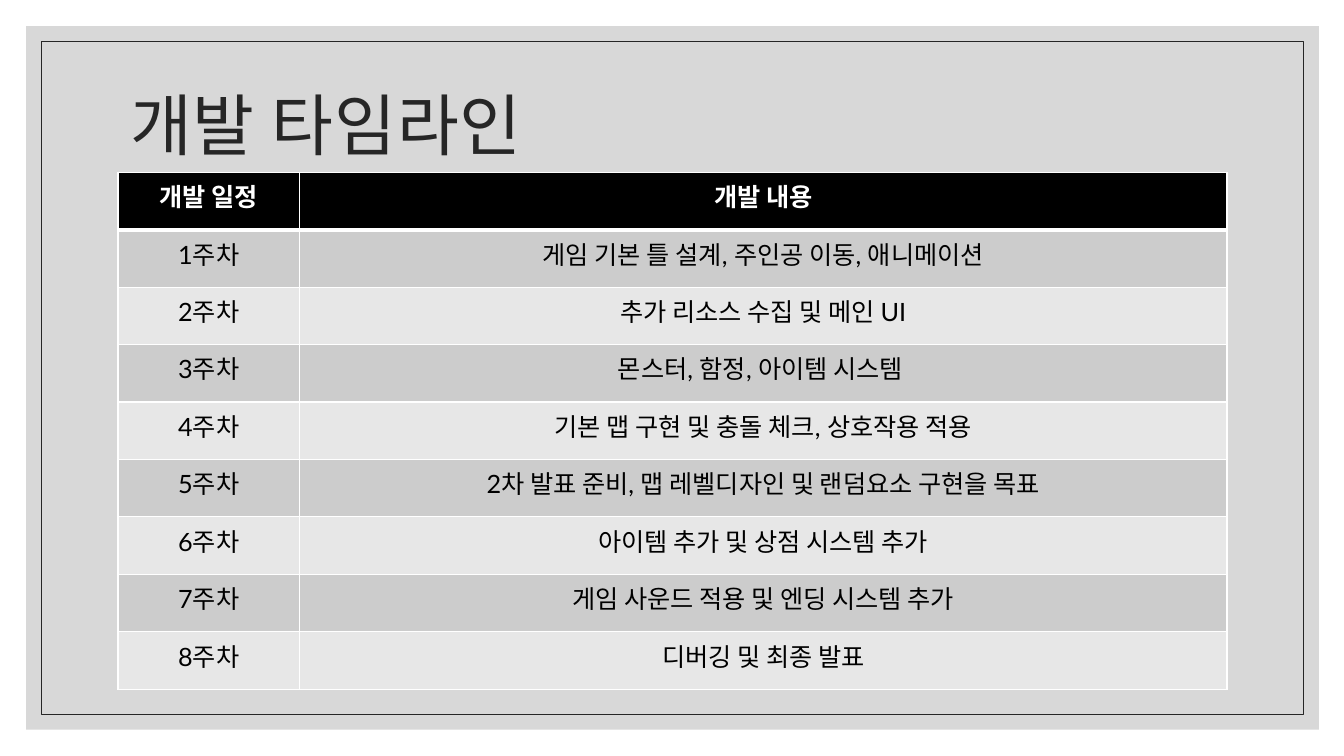
import pptx
import pptx.dml.color
import pptx.enum.shapes
import pptx.enum.text
import pptx.oxml
import pptx.oxml.ns
import pptx.util
from dataclasses import dataclass

Inches = pptx.util.Inches
Pt = pptx.util.Pt
ALIGN = pptx.enum.text.PP_ALIGN
ANCHOR = pptx.enum.text.MSO_ANCHOR


@dataclass(frozen=True)
class Theme:
    font: str = "Lato"
    panel: str = "BFBFBF"
    panel_opacity: int = 60
    ink: str = "262626"
    header: str = "000000"
    header_text: str = "FFFFFF"
    body_text: str = "000000"
    bands: tuple = ("CCCCCC", "E7E7E7")
    border: str = "FFFFFF"
    title_size: int = 48
    table_size: int = 18


SCHEDULE = [
    ("개발 일정", "개발 내용"),
    ("1주차", "게임 기본 틀 설계, 주인공 이동, 애니메이션"),
    ("2주차", "추가 리소스 수집 및 메인 UI"),
    ("3주차", "몬스터, 함정, 아이템 시스템 "),
    ("4주차", "기본 맵 구현 및 충돌 체크, 상호작용 적용"),
    ("5주차", "2차 발표 준비, 맵 레벨디자인 및 랜덤요소 구현을 목표"),
    ("6주차", "아이템 추가 및 상점 시스템 추가"),
    ("7주차", "게임 사운드 적용 및 엔딩 시스템 추가"),
    ("8주차", "디버깅 및 최종 발표"),
]


def rgb(color):
    return pptx.dml.color.RGBColor.from_string(color)


class SlideBuilder:
    def __init__(self, slide, theme):
        self.slide = slide
        self.theme = theme

    def add_run(self, paragraph, text, size, color, bold=False):
        run = paragraph.add_run()
        run.text = text
        run.font.name = self.theme.font
        run.font.size = Pt(size)
        run.font.bold = bold
        run.font.color.rgb = rgb(color)
        return run

    def rectangle(self, left, top, width, height):
        shape = self.slide.shapes.add_shape(
            pptx.enum.shapes.MSO_SHAPE.RECTANGLE,
            Inches(left), Inches(top), Inches(width), Inches(height))
        shape.shadow.inherit = False
        return shape

    def panel(self, *box):
        shape = self.rectangle(*box)
        shape.line.fill.background()
        shape.fill.solid()
        shape.fill.fore_color.rgb = rgb(self.theme.panel)
        color = shape._element.spPr.find(".//" + pptx.oxml.ns.qn("a:srgbClr"))
        alpha = color.makeelement(pptx.oxml.ns.qn("a:alpha"),
                                  {"val": str(self.theme.panel_opacity * 1000)})
        color.append(alpha)

    def frame(self, *box):
        shape = self.rectangle(*box)
        shape.fill.background()
        shape.line.color.rgb = rgb(self.theme.ink)
        shape.line.width = Pt(0.5)

    def title(self, text, left, top, width, height):
        """Fill the title placeholder and bring it in front of the backdrop."""
        title = self.slide.shapes.title
        self.slide.shapes._spTree.append(title._element)
        title.left, title.top = Inches(left), Inches(top)
        title.width, title.height = Inches(width), Inches(height)
        frame = title.text_frame
        frame.word_wrap = True
        frame.auto_size = pptx.enum.text.MSO_AUTO_SIZE.NONE
        frame.vertical_anchor = ANCHOR.MIDDLE
        frame.margin_left = frame.margin_top = frame.margin_right = Inches(0.12)
        frame.margin_bottom = Inches(0.1)
        paragraph = frame.paragraphs[0]
        paragraph.alignment = ALIGN.LEFT
        paragraph.line_spacing = 1.05
        run = self.add_run(paragraph, text, self.theme.title_size, self.theme.ink)
        run.font._element.set("spc", "70")

    def cell_borders(self, cell, widths):
        properties = cell._tc.get_or_add_tcPr()
        for index, (side, width) in enumerate(widths.items()):
            properties.insert(index, pptx.oxml.parse_xml(
                f'<a:ln{side} {pptx.oxml.ns.nsdecls("a")} w="{Pt(width)}">'
                f'<a:solidFill><a:srgbClr val="{self.theme.border}"/></a:solidFill>'
                f'</a:ln{side}>'))

    def table(self, rows, left, top, column_widths, row_height):
        theme = self.theme
        table = self.slide.shapes.add_table(
            len(rows), len(column_widths), Inches(left), Inches(top),
            Inches(sum(column_widths)), Inches(row_height * len(rows))).table
        for column, width in zip(table.columns, column_widths):
            column.width = Inches(width)
        for row_index, texts in enumerate(rows):
            table.rows[row_index].height = Inches(row_height)
            is_header = row_index == 0
            fill = theme.header if is_header else theme.bands[(row_index - 1) % 2]
            color = theme.header_text if is_header else theme.body_text
            borders = {"L": 1, "R": 1, "T": 3 if row_index == 1 else 1,
                       "B": 3 if is_header else 1}
            for column_index, text in enumerate(texts):
                cell = table.cell(row_index, column_index)
                cell.fill.solid()
                cell.fill.fore_color.rgb = rgb(fill)
                self.cell_borders(cell, borders)
                paragraph = cell.text_frame.paragraphs[0]
                paragraph.alignment = ALIGN.CENTER
                self.add_run(paragraph, text, theme.table_size, color, is_header)


def main():
    presentation = pptx.Presentation()
    presentation.slide_width = Inches(13.33)
    presentation.slide_height = Inches(7.5)
    slide = presentation.slides.add_slide(presentation.slide_layouts[5])
    builder = SlideBuilder(slide, Theme())
    builder.panel(0.26, 0.26, 12.82, 6.98)
    builder.frame(0.41, 0.41, 12.52, 6.68)
    builder.title("개발 타임라인", 1.17, 0.7, 11, 1)
    builder.table(SCHEDULE, 1.17, 1.71, (1.8, 9.2), 0.57)
    presentation.save("out.pptx")


if __name__ == "__main__":
    main()
